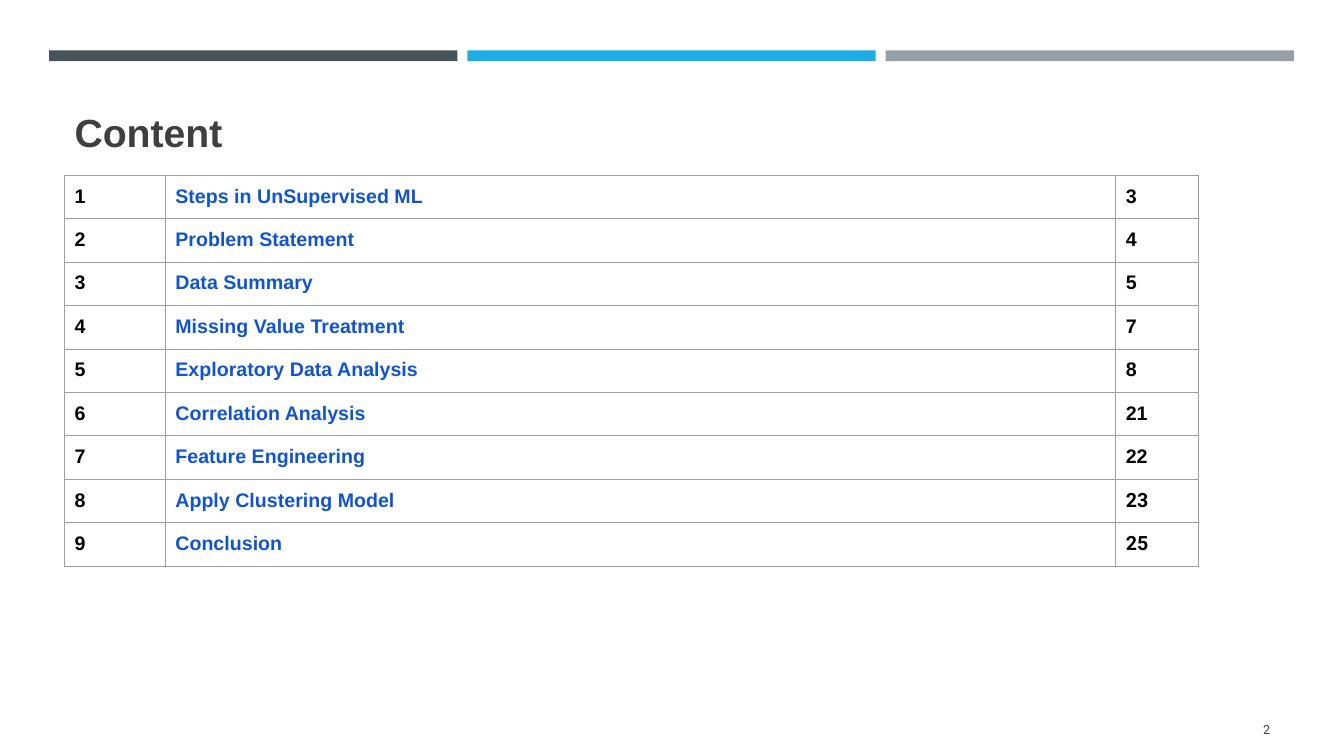
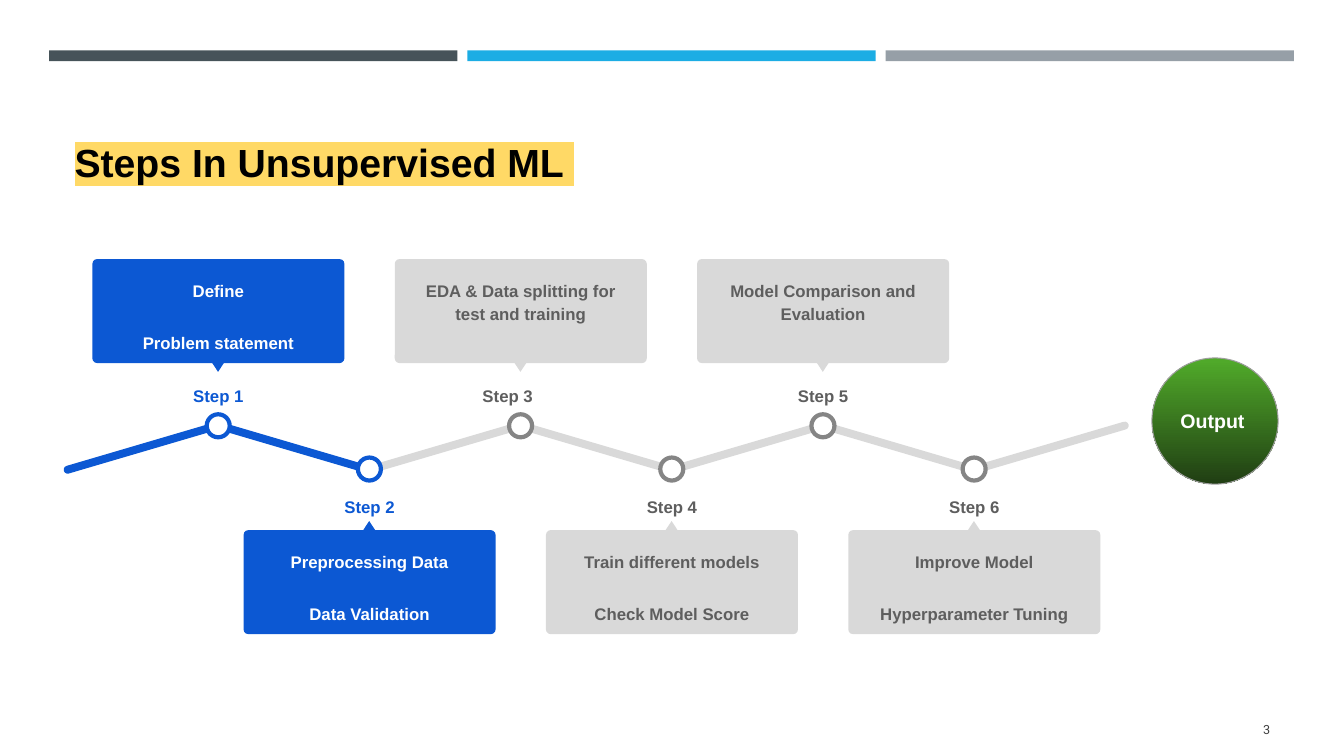
"""Build the content and the unsupervised learning steps slides."""
from lxml.etree import SubElement
from pptx import Presentation
from pptx.dml.color import RGBColor
from pptx.enum.shapes import MSO_SHAPE as Shape
from pptx.enum.text import MSO_ANCHOR as Anchor, PP_ALIGN as Align
from pptx.oxml.ns import qn
from pptx.util import Cm, Pt

BLUE, PALE, GREY, DARK_GREY = "0C58D3", "D9D9D9", "858585", "5E5E5E"
WHITE, BLACK, INK, LINK, BORDER = "FFFFFF", "000000", "3F3F3F", "1155CC", "9E9E9E"
BANDS = ["465359", "1CADE4", "969FA7"]


def add_block(page, kind, place, fill, line=None, weight=0.75):
    """Add a filled preset shape; place is left, top, width, height in cm."""
    shape = page.shapes.add_shape(kind, *[Cm(length) for length in place])
    shape.shadow.inherit = False
    shape.fill.solid()
    shape.fill.fore_color.rgb = RGBColor.from_string(fill)
    if line:
        shape.line.color.rgb = RGBColor.from_string(line)
        shape.line.width = Pt(weight)
    else:
        shape.line.fill.background()
    return shape


def write(frame, lines, size, color, align=Align.LEFT, anchor=Anchor.TOP,
          margins=(0.25, 0.13), bold=True, name="Arial", spacing=None):
    """Fill a text frame with one paragraph per line in a single style."""
    frame.word_wrap = True
    frame.vertical_anchor = anchor
    frame.margin_left = frame.margin_right = Cm(margins[0])
    frame.margin_top = frame.margin_bottom = Cm(margins[1])
    for index, line in enumerate(lines):
        para = frame.add_paragraph() if index else frame.paragraphs[0]
        para.text = line
        para.alignment = align
        para.line_spacing = spacing
        if index:
            para.space_before = Pt(21)
        font = para.font
        font.size, font.bold, font.name = Pt(size), bold, name
        font.color.rgb = RGBColor.from_string(color)


deck = Presentation()
deck.slide_width, deck.slide_height = Cm(33.87), Cm(19.05)

titles = [("Content", INK, 2.08), ("Steps In Unsupervised ML ", BLACK, 2.84)]
for number, (title, color, height) in enumerate(titles, start=2):
    page = deck.slides.add_slide(deck.slide_layouts[6])
    for index, band in enumerate(BANDS):
        add_block(page, Shape.RECTANGLE, (1.24 + 10.54 * index, 1.27, 10.29, 0.27), band)
    box = page.shapes.add_textbox(Cm(1.63), Cm(1.96), Cm(30.63), Cm(height))
    write(box.text_frame, [title], 28, color, anchor=Anchor.BOTTOM)
    box = page.shapes.add_textbox(Cm(29.34), Cm(17.86), Cm(2.92), Cm(1.02))
    write(box.text_frame, [str(number)], 9, INK, Align.RIGHT, Anchor.MIDDLE,
          bold=False, name="Roboto")

content_page, steps_page = deck.slides

topics = [
    ("Steps in UnSupervised ML", 3), ("Problem Statement", 4), ("Data Summary", 5),
    ("Missing Value Treatment", 7), ("Exploratory Data Analysis", 8),
    ("Correlation Analysis", 21), ("Feature Engineering", 22),
    ("Apply Clustering Model", 23), ("Conclusion", 25),
]
table = content_page.shapes.add_table(
    len(topics), 3, Cm(1.63), Cm(4.42), Cm(28.58), Cm(9.63)).table
table.first_row = table.horz_banding = False
for column, width in zip(table.columns, (2.54, 23.95, 2.09)):
    column.width = Cm(width)
for index, (topic, number) in enumerate(topics):
    table.rows[index].height = Cm(1.07)
    number_font = "Roboto" if number in (23, 25) else "Arial"
    entries = [(index + 1, BLACK, "Arial"), (topic, LINK, "Arial"),
               (number, BLACK, number_font)]
    for cell, (entry, color, name) in zip(table.rows[index].cells, entries):
        write(cell.text_frame, [str(entry)], 14, color, margins=(0.25, 0.25), name=name)
        cell.margin_left = cell.margin_right = Cm(0.25)
        cell.margin_top = cell.margin_bottom = Cm(0.25)
        cell.vertical_anchor = Anchor.TOP
        properties = cell._tc.get_or_add_tcPr()
        for side in ("a:lnL", "a:lnR", "a:lnT", "a:lnB"):
            edge = SubElement(properties, qn(side), w=str(Pt(0.75)))
            SubElement(SubElement(edge, qn("a:solidFill")), qn("a:srgbClr"), val=BORDER)
        cell.fill.background()

title_span = steps_page.shapes[len(BANDS)].text_frame.paragraphs[0].runs[0]
highlight = SubElement(title_span._r.get_or_add_rPr(), qn("a:highlight"))
SubElement(highlight, qn("a:srgbClr"), val="FFD966")

steps = [
    ["Define", "Problem statement"],
    ["Preprocessing Data", "Data Validation"],
    ["EDA & Data splitting for test and training"],
    ["Train different models", "Check Model Score"],
    ["Model Comparison and Evaluation"],
    ["Improve Model", "Hyperparameter Tuning"],
]
first_step, step_gap, steps_done = 5.5, 3.81, 2

for index in reversed(range(len(steps) + 1)):
    middle = first_step + (index - 0.5) * step_gap
    bar = add_block(steps_page, Shape.ROUNDED_RECTANGLE,
                    (middle - 2.07, 11.18, 4.14, 0.2),
                    BLUE if index < steps_done else PALE)
    bar.adjustments[0] = 0.5
    bar.rotation = 16.4 if index % 2 else -16.4

for index, lines in enumerate(steps):
    center = first_step + index * step_gap
    above = index % 2 == 0
    node_top, label_top, card_top, tip_top = (
        (10.44, 9.35, 6.53, 9.12) if above else (11.53, 12.14, 13.36, 13.13))
    done = index < steps_done
    card_color, card_ink, node_line, label_ink = (
        (BLUE, WHITE, BLUE, BLUE) if done else (PALE, DARK_GREY, GREY, DARK_GREY))

    card = add_block(steps_page, Shape.ROUNDED_RECTANGLE,
                     (center - 3.17, card_top, 6.35, 2.62), card_color)
    card.adjustments[0] = 0.045
    write(card.text_frame, lines, 12, card_ink, Align.CENTER,
          margins=(0.48, 0.43), spacing=1.15)
    tip = add_block(steps_page, Shape.ISOSCELES_TRIANGLE,
                    (center - 0.17, tip_top, 0.33, 0.25), card_color)
    tip.rotation = 180 if above else 0
    add_block(steps_page, Shape.OVAL, (center - 0.29, node_top, 0.58, 0.58),
              WHITE, node_line, 3)
    label = steps_page.shapes.add_textbox(
        Cm(center - 1.29), Cm(label_top), Cm(2.59), Cm(1.02))
    write(label.text_frame, [f"Step {index + 1}"], 12, label_ink,
          Align.LEFT if index == 2 else Align.CENTER, margins=(0.33, 0.33), spacing=1.15)

output = add_block(steps_page, Shape.OVAL, (29.03, 9.02, 3.18, 3.18), WHITE, BORDER)
output.fill.gradient()
output.fill.gradient_angle = 270
for stop, color, position in zip(output.fill.gradient_stops, ("51AB2A", "203E13"), (0, 1)):
    stop.color.rgb = RGBColor.from_string(color)
    stop.position = position
write(output.text_frame, ["Output"], 14, WHITE, anchor=Anchor.MIDDLE, margins=(0.25, 0.25))

deck.save("out.pptx")
